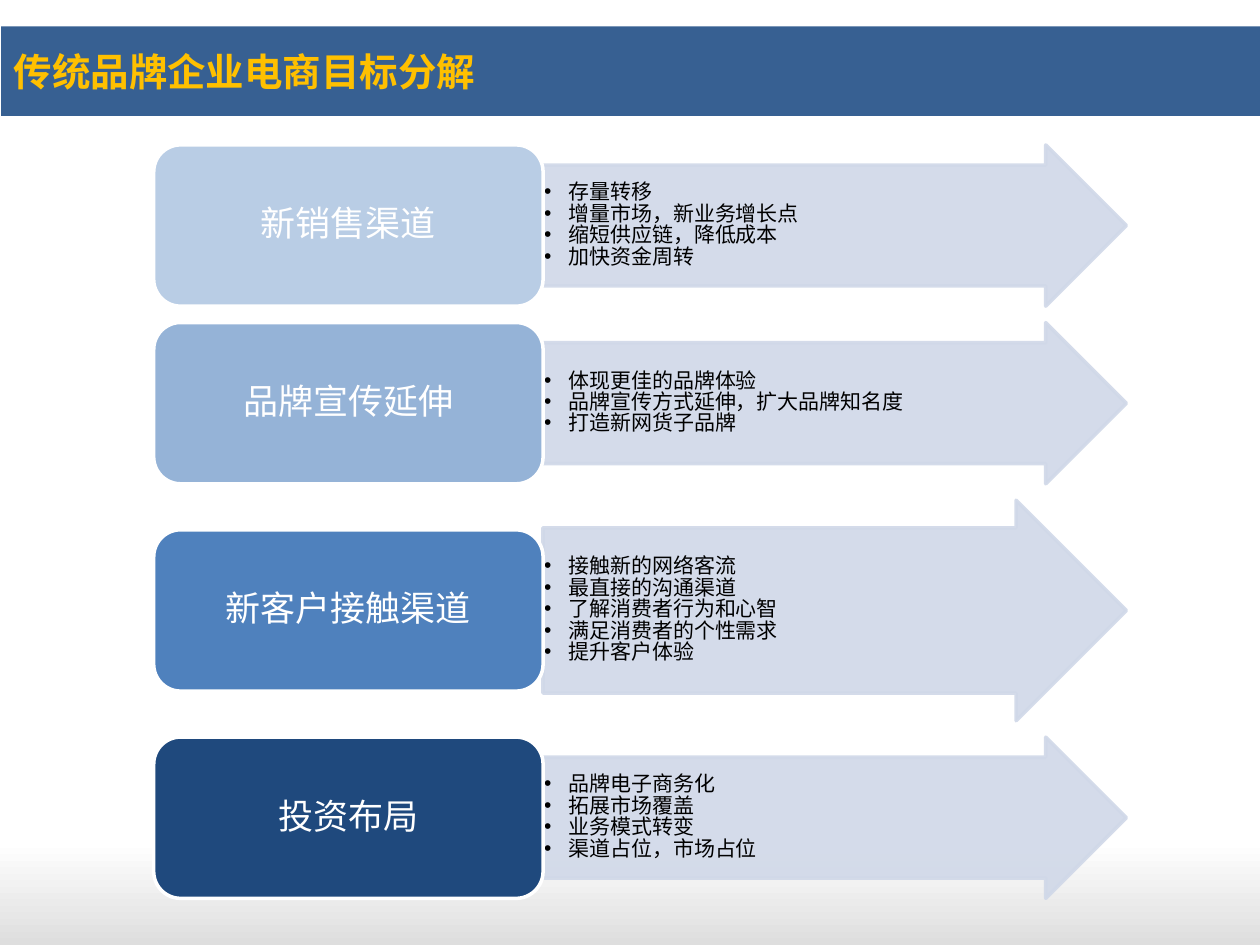
import pptx
import pptx.util
import pptx.dml.color
import pptx.enum.shapes
import pptx.enum.text
import pptx.oxml.ns
import lxml.etree

RGBColor = pptx.dml.color.RGBColor
Inches = pptx.util.Inches
Pt = pptx.util.Pt
qn = pptx.oxml.ns.qn
MSO_SHAPE = pptx.enum.shapes.MSO_SHAPE
PP_ALIGN = pptx.enum.text.PP_ALIGN
MIDDLE = pptx.enum.text.MSO_ANCHOR.MIDDLE

WHITE = RGBColor(0xFF, 0xFF, 0xFF)
BLACK = RGBColor(0, 0, 0)
FLOOR_GREY = RGBColor(0xDE, 0xDE, 0xDE)
BANNER_BLUE = RGBColor(0x37, 0x60, 0x92)
GOLD = RGBColor(0xFF, 0xC0, 0x00)
ARROW_BLUE = RGBColor(0xD0, 0xD8, 0xE8)
FONT = "Noto Sans CJK SC"

GOALS = [
    ("新销售渠道", RGBColor(0xB9, 0xCD, 0xE5), 1.28,
     ["存量转移", "增量市场，新业务增长点", "缩短供应链，降低成本", "加快资金周转"]),
    ("品牌宣传延伸", RGBColor(0x95, 0xB3, 0xD7), 1.28,
     ["体现更佳的品牌体验", "品牌宣传方式延伸，扩大品牌知名度", "打造新网货子品牌"]),
    ("新客户接触渠道", RGBColor(0x4F, 0x81, 0xBD), 1.75,
     ["接触新的网络客流", "最直接的沟通渠道", "了解消费者行为和心智",
      "满足消费者的个性需求", "提升客户体验"]),
    ("投资布局", RGBColor(0x1F, 0x49, 0x7D), 1.28,
     ["品牌电子商务化", "拓展市场覆盖", "业务模式转变", "渠道占位，市场占位"]),
]
LABEL_LEFT, LABEL_WIDTH, LABEL_HEIGHT = 1.22, 3.09, 1.28
ARROW_LEFT, ARROW_WIDTH = LABEL_LEFT + LABEL_WIDTH, 4.63
FIRST_ROW, ROW_GAP = 1.15, 0.13


def style_runs(frame, size, color, bold=False):
    for paragraph in frame.paragraphs:
        for run in paragraph.runs:
            run.font.name = FONT
            run.font.size = Pt(size)
            run.font.bold = bold
            run.font.color.rgb = color
            east_asian = lxml.etree.SubElement(run.font._element, qn("a:ea"))
            east_asian.set("typeface", FONT)


def add_block(kind, left, top, width, height, fill, line):
    block = slide.shapes.add_shape(
        kind, Inches(left), Inches(top), Inches(width), Inches(height))
    block.shadow.inherit = False
    block.fill.solid()
    block.fill.fore_color.rgb = fill
    block.line.color.rgb = line
    block.line.width = Pt(2)
    block.text_frame.word_wrap = True
    block.text_frame.vertical_anchor = MIDDLE
    return block


deck = pptx.Presentation()
deck.slide_width, deck.slide_height = Inches(10), Inches(7.5)
slide = deck.slides.add_slide(deck.slide_layouts[5])

banner = slide.shapes.title
banner.left, banner.top = Inches(0.01), Inches(0.21)
banner.width, banner.height = deck.slide_width, Inches(0.71)
banner.fill.solid()
banner.fill.fore_color.rgb = BANNER_BLUE
banner.text_frame.text = "传统品牌企业电商目标分解"
banner.text_frame.vertical_anchor = MIDDLE
banner.text_frame.paragraphs[0].alignment = PP_ALIGN.LEFT
style_runs(banner.text_frame, 22, GOLD, bold=True)

floor_height = int(deck.slide_height * 0.11)
floor = slide.shapes.add_shape(
    MSO_SHAPE.RECTANGLE, 0, deck.slide_height - floor_height,
    deck.slide_width, floor_height)
floor.shadow.inherit = False
floor.line.fill.background()
floor.fill.gradient()
floor.fill.gradient_angle = 90
for stop, color in zip(floor.fill.gradient_stops, (FLOOR_GREY, WHITE)):
    stop.color.rgb = color

row_top = FIRST_ROW
for goal, goal_color, row_height, points in GOALS:
    arrow = add_block(MSO_SHAPE.RIGHT_ARROW, ARROW_LEFT, row_top,
                      ARROW_WIDTH, row_height, ARROW_BLUE, ARROW_BLUE)
    arrow.adjustments[0], arrow.adjustments[1] = 0.75, 0.5
    for color in list(arrow._element.spPr.iter(qn("a:srgbClr"))):
        lxml.etree.SubElement(color, qn("a:alpha")).set("val", "90000")
    details = arrow.text_frame
    details.margin_left = details.margin_right = Inches(0.01)
    details.margin_top = details.margin_bottom = Inches(0.01)
    details.text = "\n".join(points)
    for point in details.paragraphs:
        point.alignment = PP_ALIGN.LEFT
        point.line_spacing = 0.85
        properties = point._p.get_or_add_pPr()
        properties.set("marL", str(Inches(0.19)))
        properties.set("indent", str(Inches(-0.19)))
        lxml.etree.SubElement(properties, qn("a:buFont")).set("typeface", "Arial")
        lxml.etree.SubElement(properties, qn("a:buChar")).set("char", "•")
    style_runs(details, 12, BLACK)

    label = add_block(MSO_SHAPE.ROUNDED_RECTANGLE, LABEL_LEFT,
                      row_top + (row_height - LABEL_HEIGHT) / 2,
                      LABEL_WIDTH, LABEL_HEIGHT, goal_color, WHITE)
    label.text_frame.text = goal
    label.text_frame.paragraphs[0].alignment = PP_ALIGN.CENTER
    label.text_frame.paragraphs[0].line_spacing = 0.9
    style_runs(label.text_frame, 20, WHITE)
    row_top += row_height + ROW_GAP

deck.save("out.pptx")
